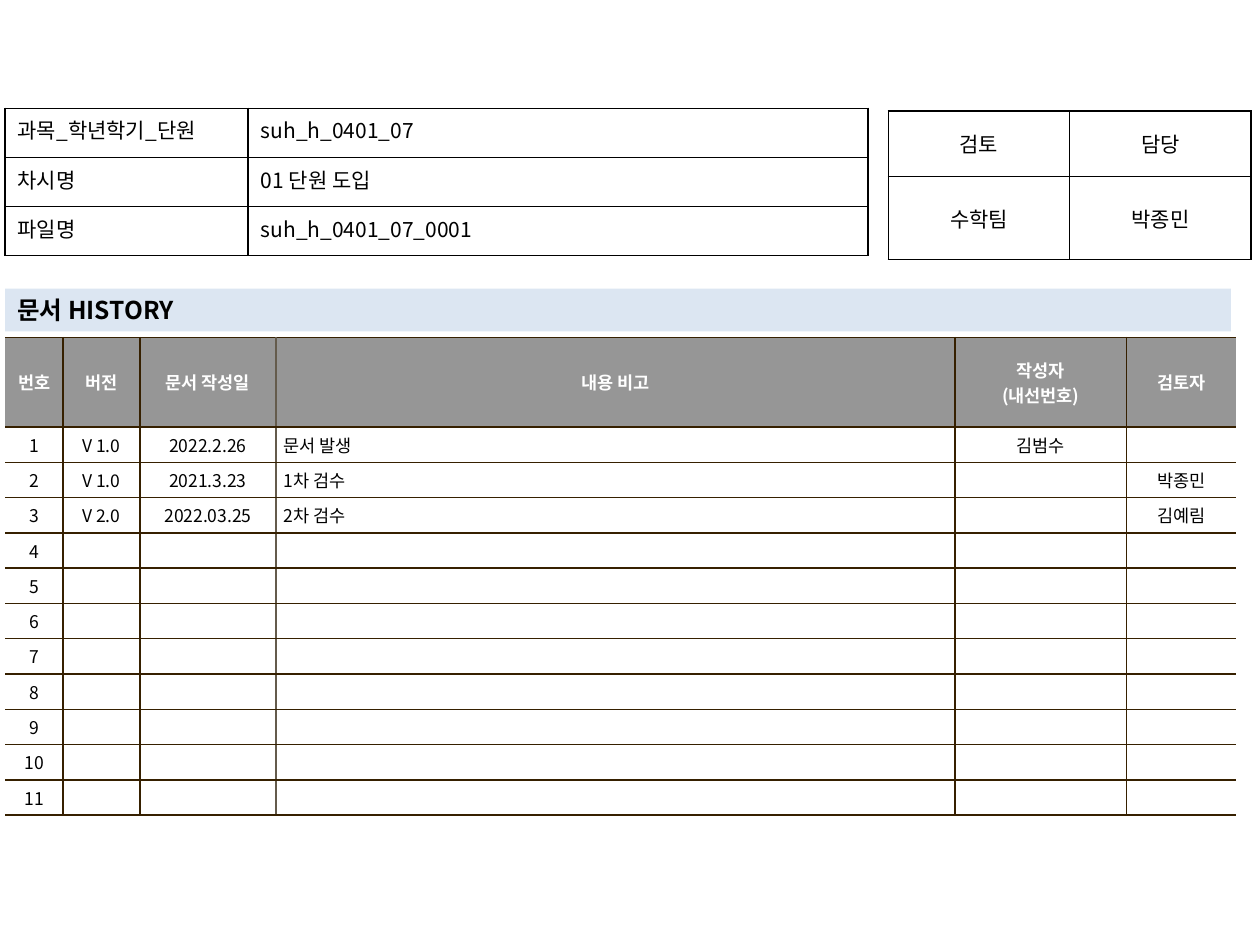
from lxml.etree import SubElement
from pptx import Presentation
from pptx.dml.color import RGBColor
from pptx.enum.shapes import MSO_SHAPE
from pptx.enum.text import MSO_ANCHOR as ANCHOR, MSO_AUTO_SIZE as AUTO, PP_ALIGN as ALIGN
from pptx.oxml.ns import qn
from pptx.util import Inches, Pt

FONT = "Noto Sans CJK KR"
BLACK = RGBColor(0x00, 0x00, 0x00)
WHITE = RGBColor(0xFF, 0xFF, 0xFF)
GRAY = RGBColor(0x96, 0x96, 0x96)
PALE_BLUE = RGBColor(0xDC, 0xE6, 0xF2)
BROWN = RGBColor(0x36, 0x20, 0x00)
TAUPE = RGBColor(0x64, 0x5B, 0x4C)

TITLE = "문서 HISTORY"
FILE_INFO = [
    ("과목_학년학기_단원", "suh_h_0401_07"),
    ("차시명", "01 단원 도입"),
    ("파일명", "suh_h_0401_07_0001"),
]
APPROVAL = [("검토", "담당"), ("수학팀", "박종민")]
HEADER = ("번호", "버전", "문서 작성일", "내용 비고", "작성자\n(내선번호)", "검토자")
ENTRIES = [
    ("V 1.0", "2022.2.26", "문서 발생", "김범수", ""),
    ("V 1.0", "2021.3.23", "1차 검수", "", "박종민"),
    ("V 2.0", "2022.03.25", "2차 검수", "", "김예림"),
]
ENTRY_ROWS = 11
NOTE_COL = 3
NO_STYLE = "{2D5ABB26-0587-4C30-8999-92F81FD0307C}"


def set_font(tf, size, color=BLACK, bold=False):
    for p in tf.paragraphs:
        for r in p.runs:
            r.font.size = Pt(size)
            r.font.name = FONT
            r.font.bold = bold
            r.font.color.rgb = color
            SubElement(r.font._element, qn("a:ea"), typeface=FONT)
        if not p.runs:
            SubElement(p._p, qn("a:endParaRPr"), sz=str(size * 100))


def set_borders(cell, colors):
    tcPr = cell._tc.get_or_add_tcPr()
    for side in "LRTB":
        color = colors.get(side)
        ln = SubElement(tcPr, qn(f"a:ln{side}"), w=str(Pt(1)))
        if color is None:
            SubElement(ln, qn("a:noFill"))
        else:
            fill = SubElement(ln, qn("a:solidFill"))
            SubElement(fill, qn("a:srgbClr"), val=str(color))


def add_grid(s, left, top, widths, heights, rows, inset, format_cell):
    frame = s.shapes.add_table(len(rows), len(widths), Inches(left), Inches(top),
                               Inches(sum(widths)), Inches(sum(heights)))
    table = frame.table
    table.first_row = table.horz_banding = False
    table._tbl.tblPr.find(qn("a:tableStyleId")).text = NO_STYLE
    for col, width in zip(table.columns, widths):
        col.width = Inches(width)
    for row, height in zip(table.rows, heights):
        row.height = Inches(height)
    for i, values in enumerate(rows):
        for j, value in enumerate(values):
            cell = table.cell(i, j)
            cell.text_frame.text = value
            cell.margin_left = cell.margin_right = Inches(inset[0])
            cell.margin_top = cell.margin_bottom = Inches(inset[1])
            format_cell(cell, i, j)


def format_plain(cell):
    set_borders(cell, dict.fromkeys("LRTB", BLACK))
    cell.fill.background()
    set_font(cell.text_frame, 12)


def format_info(cell, i, j):
    format_plain(cell)
    cell.text_frame.paragraphs[0].alignment = ALIGN.LEFT if j else ALIGN.JUSTIFY


def format_approval(cell, i, j):
    format_plain(cell)
    cell.vertical_anchor = ANCHOR.MIDDLE
    cell.text_frame.paragraphs[0].alignment = ALIGN.CENTER


def format_history(cell, i, j):
    colors = dict.fromkeys("LRTB", BROWN)
    if j == 0:
        del colors["L"]
    if j == len(HEADER) - 1:
        del colors["R"]
    if j == NOTE_COL - 1:
        colors["R"] = TAUPE
    if j == NOTE_COL:
        colors["L"] = TAUPE
    set_borders(cell, colors)
    cell.fill.solid()
    cell.fill.fore_color.rgb = WHITE if i else GRAY
    cell.vertical_anchor = ANCHOR.MIDDLE
    is_note = i > 0 and j == NOTE_COL
    for p in cell.text_frame.paragraphs:
        p.alignment = ALIGN.LEFT if is_note else ALIGN.CENTER
        if is_note:
            pPr = p._p.get_or_add_pPr()
            pPr.set("marL", str(Inches(0.19)))
            pPr.set("indent", str(Inches(-0.19)))
    set_font(cell.text_frame, 10, BLACK if i else WHITE, i == 0)


def add_title(s):
    sp = s.shapes.add_shape(MSO_SHAPE.RECTANGLE, Inches(0.04), Inches(2.29),
                            Inches(9.73), Inches(0.34))
    sp.shadow.inherit = False
    sp.fill.solid()
    sp.fill.fore_color.rgb = PALE_BLUE
    sp.line.fill.background()
    tf = sp.text_frame
    tf.text = TITLE
    tf.word_wrap = True
    tf.auto_size = AUTO.SHAPE_TO_FIT_TEXT
    tf.vertical_anchor = ANCHOR.TOP
    tf.paragraphs[0].alignment = ALIGN.LEFT
    set_font(tf, 14, bold=True)


def main():
    prs = Presentation()
    prs.slide_width, prs.slide_height = Inches(10), Inches(7.5)
    s = prs.slides.add_slide(prs.slide_layouts[6])

    blank = ("",) * (len(HEADER) - 1)
    entries = ENTRIES + [blank] * (ENTRY_ROWS - len(ENTRIES))
    history = [HEADER] + [(str(n), *entry) for n, entry in enumerate(entries, 1)]

    add_grid(s, 0.04, 2.68, [0.46, 0.61, 1.08, 5.39, 1.36, 0.87],
             [0.71] + [0.25] * ENTRY_ROWS, history, (0.06, 0.04), format_history)
    add_grid(s, 7.05, 0.88, [1.44] * 2, [0.52, 0.66], APPROVAL, (0.1, 0.05), format_approval)
    add_title(s)
    add_grid(s, 0.04, 0.86, [1.93, 4.92], [0.39] * 3, FILE_INFO, (0.1, 0.05), format_info)
    prs.save("out.pptx")


if __name__ == "__main__":
    main()
